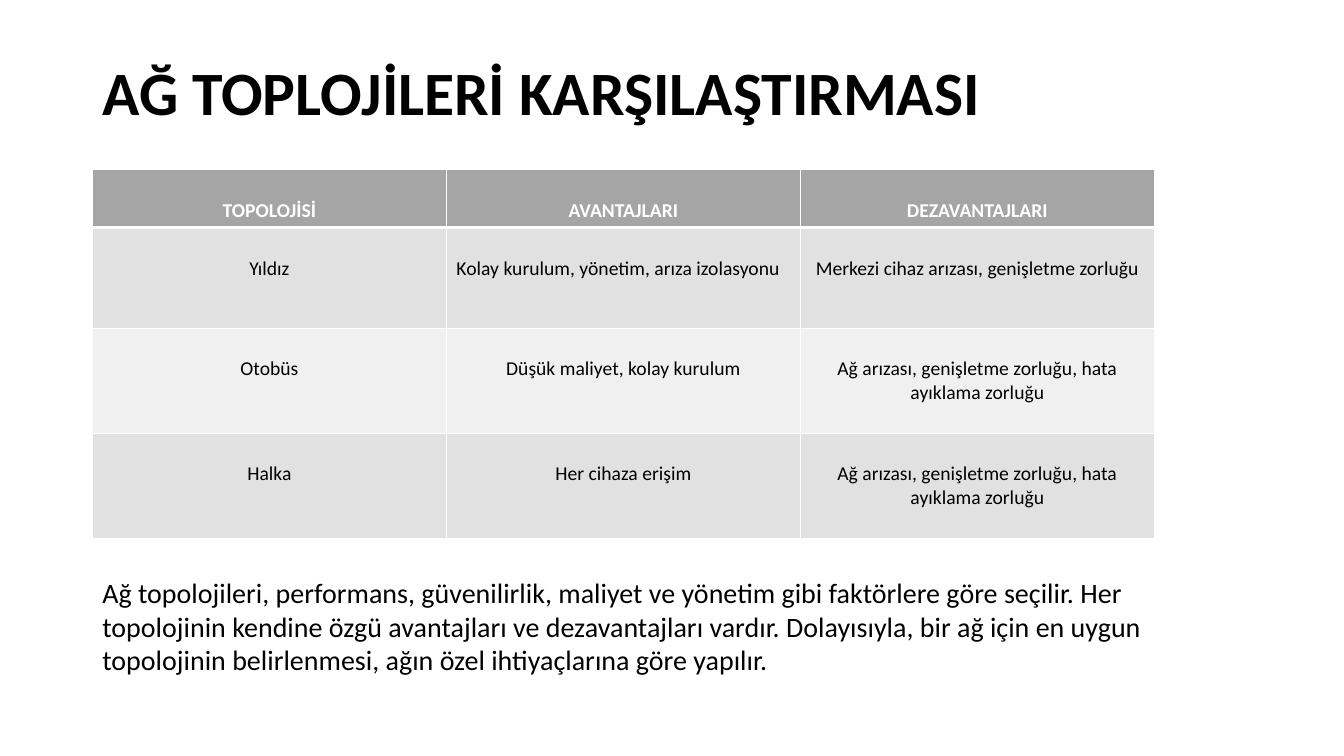
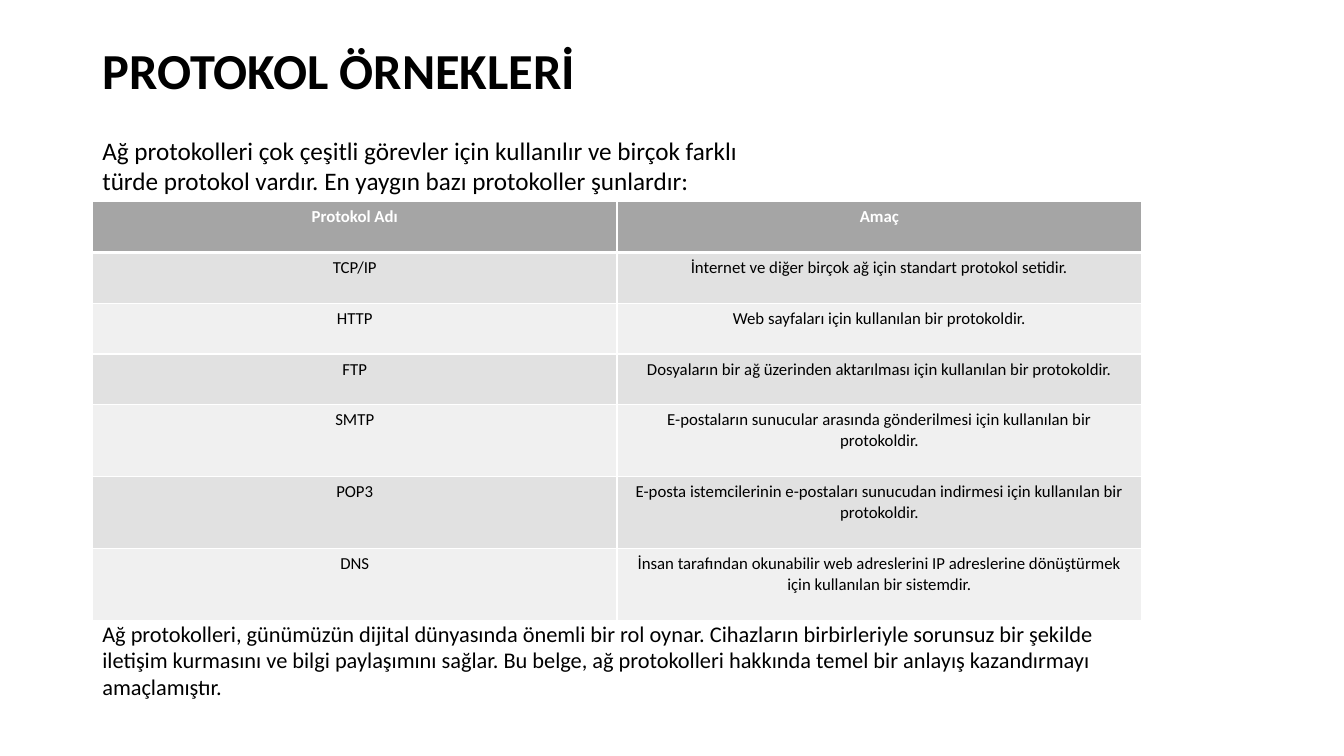
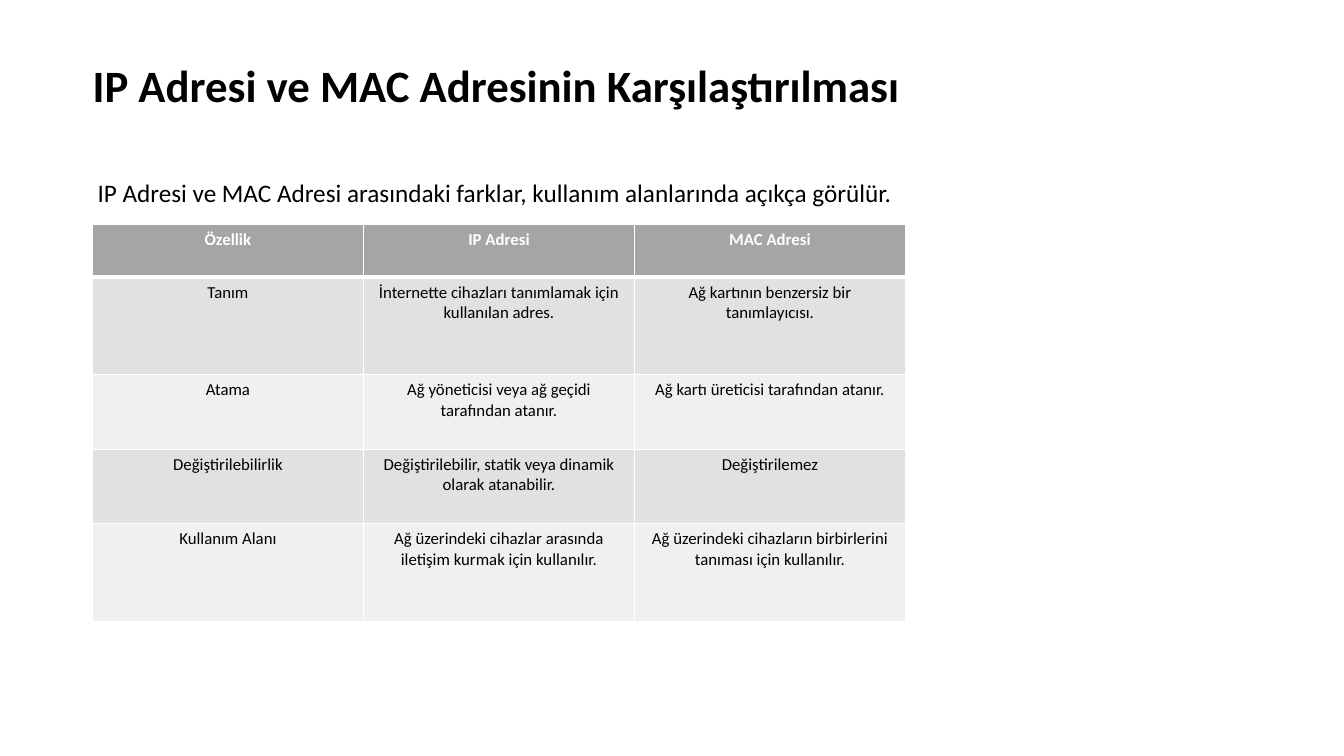
from lxml.etree import SubElement
from pptx import Presentation
from pptx.dml.color import RGBColor
from pptx.enum.text import MSO_ANCHOR, MSO_AUTO_SIZE, PP_ALIGN
from pptx.oxml.ns import qn
from pptx.util import Cm, Pt

COLORS = {"text": "000000", "header": "A5A5A5", "header_text": "FFFFFF",
          "odd": "E1E1E1", "even": "F0F0F0", "border": "FFFFFF"}
LEFT = 2.33

SLIDES = [
    {
        "title": ("AĞ TOPLOJİLERİ KARŞILAŞTIRMASI", 44, LEFT, 0.58),
        "table_top": 4.27, "col_width": 8.92, "size": 14, "margin_top": 0.73,
        "row_heights": [1.46, 2.54, 2.65, 2.65],
        "left_cells": [(1, 1)],
        "rows": [
            ("TOPOLOJİSİ", "AVANTAJLARI", "DEZAVANTAJLARI"),
            ("Yıldız", "Kolay kurulum, yönetim, arıza izolasyonu",
             "Merkezi cihaz arızası, genişletme zorluğu"),
            ("Otobüs", "Düşük maliyet, kolay kurulum",
             "Ağ arızası, genişletme zorluğu, hata ayıklama zorluğu"),
            ("Halka", "Her cihaza erişim",
             "Ağ arızası, genişletme zorluğu, hata ayıklama zorluğu"),
        ],
        "texts": [
            ("Ağ topolojileri, performans, güvenilirlik, maliyet ve yönetim gibi "
             "faktörlere göre seçilir. Her topolojinin kendine özgü avantajları ve "
             "dezavantajları vardır. Dolayısıyla, bir ağ için en uygun topolojinin "
             "belirlenmesi, ağın özel ihtiyaçlarına göre yapılır.",
             20, (LEFT, 14.38, 26.72, 2.82)),
        ],
    },
    {
        "title": ("PROTOKOL ÖRNEKLERİ", 36, LEFT, 0),
        "table_top": 5.08, "col_width": 13.22, "size": 12, "margin_top": 0.13,
        "row_heights": [1.28] * 4 + [1.81] * 3,
        "left_cells": [],
        "rows": [
            ("Protokol Adı", "Amaç"),
            ("TCP/IP", "İnternet ve diğer birçok ağ için standart protokol setidir."),
            ("HTTP", "Web sayfaları için kullanılan bir protokoldir."),
            ("FTP", "Dosyaların bir ağ üzerinden aktarılması için kullanılan bir protokoldir."),
            ("SMTP", "E-postaların sunucular arasında gönderilmesi için kullanılan bir protokoldir."),
            ("POP3", "E-posta istemcilerinin e-postaları sunucudan indirmesi için "
                     "kullanılan bir protokoldir."),
            ("DNS", "İnsan tarafından okunabilir web adreslerini IP adreslerine "
                    "dönüştürmek için kullanılan bir sistemdir."),
        ],
        "texts": [
            ("Ağ protokolleri çok çeşitli görevler için kullanılır ve birçok farklı "
             "türde protokol vardır. En yaygın bazı protokoller şunlardır:",
             18, (LEFT, 3.28, 16.94, 1.8)),
            ("Ağ protokolleri, günümüzün dijital dünyasında önemli bir rol oynar. "
             "Cihazların birbirleriyle sorunsuz bir şekilde iletişim kurmasını ve bilgi "
             "paylaşımını sağlar. Bu belge, ağ protokolleri hakkında temel bir anlayış "
             "kazandırmayı amaçlamıştır.",
             16, (LEFT, 15.49, 26.44, 2.31)),
        ],
    },
    {
        "title": ("IP Adresi ve MAC Adresinin Karşılaştırılması", 32, 2.08, 0.38),
        "table_top": 5.66, "col_width": 6.83, "size": 12, "margin_top": 0.13,
        "row_heights": [1.32, 2.46, 1.88, 1.88, 2.46],
        "left_cells": [],
        "rows": [
            ("Özellik", "IP Adresi", "MAC Adresi"),
            ("Tanım", "İnternette cihazları tanımlamak için kullanılan adres.",
             "Ağ kartının benzersiz bir tanımlayıcısı."),
            ("Atama", "Ağ yöneticisi veya ağ geçidi tarafından atanır.",
             "Ağ kartı üreticisi tarafından atanır."),
            ("Değiştirilebilirlik", "Değiştirilebilir, statik veya dinamik olarak atanabilir.",
             "Değiştirilemez"),
            ("Kullanım Alanı", "Ağ üzerindeki cihazlar arasında iletişim kurmak için kullanılır.",
             "Ağ üzerindeki cihazların birbirlerini tanıması için kullanılır."),
        ],
        "texts": [
            ("IP Adresi ve MAC Adresi arasındaki farklar, kullanım alanlarında açıkça görülür.",
             18, (2.21, 4.34, 20.73, 1.02)),
        ],
    },
]


def write(tf, text, size, color="text", bold=False, align=PP_ALIGN.LEFT):
    p = tf.paragraphs[0]
    p.alignment = align
    r = p.add_run()
    r.text = text
    for name, value in {"name": "Calibri", "size": Pt(size), "bold": bold}.items():
        setattr(r.font, name, value)
    r.font.color.rgb = RGBColor.from_string(COLORS[color])
    return p


def set_borders(cell, row):
    """Draw thin lines round a cell, with a thick one under the header row."""
    thick = {0: "lnB", 1: "lnT"}.get(row)
    for side in ("lnL", "lnR", "lnT", "lnB"):
        width = Pt(3 if side == thick else 1)
        ln = SubElement(cell._tc.get_or_add_tcPr(), qn(f"a:{side}"), w=str(width))
        fill = SubElement(ln, qn("a:solidFill"))
        SubElement(fill, qn("a:srgbClr"), val=COLORS["border"])


prs = Presentation()
prs.slide_width, prs.slide_height = Cm(33.87), Cm(19.05)

for data in SLIDES:
    s = prs.slides.add_slide(prs.slide_layouts[5])

    text, size, left, top = data["title"]
    title = s.shapes.title
    title.left, title.top, title.width, title.height = Cm(left), Cm(top), Cm(29.21), Cm(3.68)
    tf = title.text_frame
    tf.auto_size = MSO_AUTO_SIZE.NONE
    tf.vertical_anchor = MSO_ANCHOR.MIDDLE
    write(tf, text, size, bold=True).line_spacing = 0.9

    rows, heights = data["rows"], data["row_heights"]
    cols = len(rows[0])
    table = s.shapes.add_table(len(rows), cols, Cm(LEFT), Cm(data["table_top"]),
                               Cm(data["col_width"] * cols), Cm(sum(heights))).table
    for col in table.columns:
        col.width = Cm(data["col_width"])
    for i, row in enumerate(rows):
        table.rows[i].height = Cm(heights[i])
        band = "header" if i == 0 else "odd" if i % 2 else "even"
        for j, text in enumerate(row):
            cell = table.cell(i, j)
            cell.margin_top = Cm(data["margin_top"])
            set_borders(cell, i)
            cell.fill.solid()
            cell.fill.fore_color.rgb = RGBColor.from_string(COLORS[band])
            write(cell.text_frame, text, data["size"],
                  color="text" if i else "header_text", bold=i == 0,
                  align=PP_ALIGN.LEFT if (i, j) in data["left_cells"] else PP_ALIGN.CENTER)

    for text, size, box in data["texts"]:
        tf = s.shapes.add_textbox(*map(Cm, box)).text_frame
        tf.word_wrap = True
        tf.auto_size = MSO_AUTO_SIZE.SHAPE_TO_FIT_TEXT
        write(tf, text, size)

prs.save("out.pptx")
